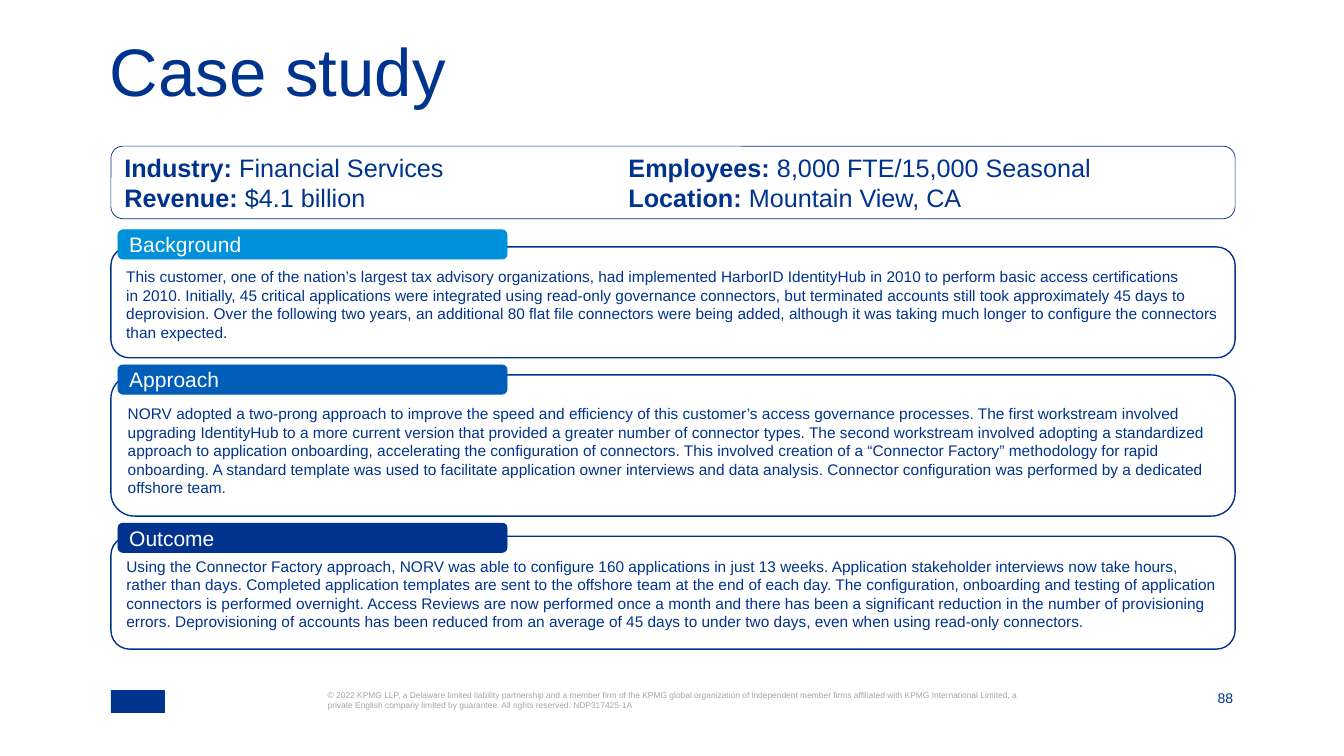
import pptx
import pptx.dml.color
import pptx.enum.shapes
import pptx.enum.text
import pptx.oxml.ns
import pptx.util
from lxml import etree
from pptx.util import Inches

COLORS = {
    "navy": "00338D",
    "blue": "005EB8",
    "sky": "0091DA",
    "gray": "A6A6A6",
    "white": "FFFFFF",
}
FONT = "Arial"
LEFT, WIDTH = 1.1, 11.15

FACTS = [
    [("Industry:", True), (" Financial Services\t", False),
     ("Employees: ", True), ("8,000 FTE/15,000 Seasonal", False)],
    [("Revenue: ", True), ("$4.1 billion\t", False),
     ("Location: ", True), ("Mountain View, CA", False)],
]

SECTIONS = [
    ("Background", "sky", 2.28, 2.45, 1.1, "TOP",
     "This customer, one of the nation’s largest tax advisory organizations, had implemented "
     "HarborID IdentityHub in 2010 to perform basic access certifications \n"
     "in 2010. Initially, 45 critical applications were integrated using read-only governance "
     "connectors, but terminated accounts still took approximately 45 days to deprovision. Over "
     "the following two years, an additional 80 flat file connectors were being added, although "
     "it was taking much longer to configure the connectors than expected."),
    ("Approach", "blue", 3.62, 3.72, 1.4, "MIDDLE",
     "NORV adopted a two-prong approach to improve the speed and efficiency of this customer’s "
     "access governance processes. The first workstream involved upgrading IdentityHub to a more "
     "current version that provided a greater number of connector types. The second workstream "
     "involved adopting a standardized approach to application onboarding, accelerating the "
     "configuration of connectors. This involved creation of a “Connector Factory” methodology "
     "for rapid onboarding. A standard template was used to facilitate application owner "
     "interviews and data analysis. Connector configuration was performed by a dedicated "
     "offshore team."),
    ("Outcome", "navy", 5.19, 5.32, 1.12, "TOP",
     "Using the Connector Factory approach, NORV was able to configure 160 applications in just "
     "13 weeks. Application stakeholder interviews now take hours, rather than days. Completed "
     "application templates are sent to the offshore team at the end of each day. The "
     "configuration, onboarding and testing of application connectors is performed overnight. "
     "Access Reviews are now performed once a month and there has been a significant reduction "
     "in the number of provisioning errors. Deprovisioning of accounts has been reduced from an "
     "average of 45 days to under two days, even when using read-only connectors."),
]

COPYRIGHT = (
    "© 2022 KPMG LLP, a Delaware limited liability partnership and a member firm of the KPMG "
    "global organization of independent member firms affiliated with KPMG International Limited, "
    "a private English company limited by guarantee. All rights reserved. NDP317425-1A"
)


def rgb(name):
    """Return the named colour."""
    return pptx.dml.color.RGBColor.from_string(COLORS[name])


def add_run(paragraph, text, size, color, bold=False):
    """Add one formatted run to a paragraph."""
    run = paragraph.add_run()
    run.text = text
    run.font.name = FONT
    run.font.size = pptx.util.Pt(size)
    run.font.bold = bold
    run.font.color.rgb = rgb(color)


def set_frame(shape, anchor, insets):
    """Set wrapping, anchor and insets, and return the first paragraph."""
    frame = shape.text_frame
    frame.word_wrap = True
    frame.vertical_anchor = getattr(pptx.enum.text.MSO_ANCHOR, anchor)
    frame.margin_left, frame.margin_top, frame.margin_right, frame.margin_bottom = map(
        Inches, insets)
    paragraph = frame.paragraphs[0]
    paragraph.alignment = pptx.enum.text.PP_ALIGN.LEFT
    return paragraph


def add_text(slide, box, text, size, color, anchor="TOP"):
    """Add a text box without insets and return its paragraph."""
    shape = slide.shapes.add_textbox(*map(Inches, box))
    paragraph = set_frame(shape, anchor, (0, 0, 0, 0))
    add_run(paragraph, text, size, color)
    return paragraph


def add_panel(slide, box, fill, line, line_width, kind="ROUNDED_RECTANGLE"):
    """Add a filled or outlined shape without shadow."""
    shape = slide.shapes.add_shape(
        getattr(pptx.enum.shapes.MSO_SHAPE, kind), *map(Inches, box))
    shape.shadow.inherit = False
    if fill:
        shape.fill.solid()
        shape.fill.fore_color.rgb = rgb(fill)
    else:
        shape.fill.background()
    shape.line.color.rgb = rgb(line)
    shape.line.width = pptx.util.Pt(line_width)
    return shape


def add_section(slide, heading, color, tag_top, top, height, anchor, body):
    """Add a body panel with a heading tag over its top edge."""
    panel = add_panel(slide, (LEFT, top, WIDTH, height), "white", "navy", 1)
    paragraph = set_frame(panel, anchor, (0.1, 0.15, 0.1, 0.05))
    for index, line in enumerate(body.split("\n")):
        if index:
            paragraph.add_line_break()
        add_run(paragraph, line, 11, "navy")
    tag = add_panel(slide, (1.17, tag_top, 3.86, 0.29), color, color, 0.5)
    add_run(set_frame(tag, "MIDDLE", (0.1, 0.05, 0.1, 0.05)), heading, 15, "white")


def add_tab_stop(paragraph, position):
    """Give a paragraph one left tab stop."""
    properties = paragraph._p.get_or_add_pPr()
    tabs = etree.SubElement(properties, pptx.oxml.ns.qn("a:tabLst"))
    etree.SubElement(tabs, pptx.oxml.ns.qn("a:tab"), pos=str(Inches(position)), algn="l")


def add_facts(slide):
    """Add the outlined panel of client facts in two columns."""
    panel = add_panel(slide, (LEFT, 1.45, WIDTH, 0.72), None, "navy", 0.5)
    paragraph = set_frame(panel, "MIDDLE", (0.1, 0.05, 0.1, 0.05))
    for index, runs in enumerate(FACTS):
        if index:
            paragraph = panel.text_frame.add_paragraph()
            paragraph.alignment = pptx.enum.text.PP_ALIGN.LEFT
        add_tab_stop(paragraph, 5)
        for text, bold in runs:
            add_run(paragraph, text, 18, "navy", bold)


def add_footer(slide):
    """Add the footer mark, copyright line and page number."""
    add_panel(slide, (LEFT, 6.85, 0.53, 0.22), "navy", "navy", 0.25, "RECTANGLE")
    add_text(slide, (3.25, 6.85, 6.87, 0.41), COPYRIGHT, 6, "gray")
    number = add_text(slide, (11.74, 6.85, 0.49, 0.16), "88", 10, "navy", "BOTTOM")
    number.alignment = pptx.enum.text.PP_ALIGN.RIGHT


def main():
    """Build and save the case study slide."""
    presentation = pptx.Presentation()
    presentation.slide_width = Inches(13.33)
    presentation.slide_height = Inches(7.5)
    slide = presentation.slides.add_slide(presentation.slide_layouts[6])
    add_footer(slide)
    title = add_text(slide, (1.09, 0.47, WIDTH, 0.58), "Case study", 48, "navy")
    title.line_spacing = pptx.util.Pt(45)
    for section in SECTIONS:
        add_section(slide, *section)
    add_facts(slide)
    presentation.save("out.pptx")


if __name__ == "__main__":
    main()
